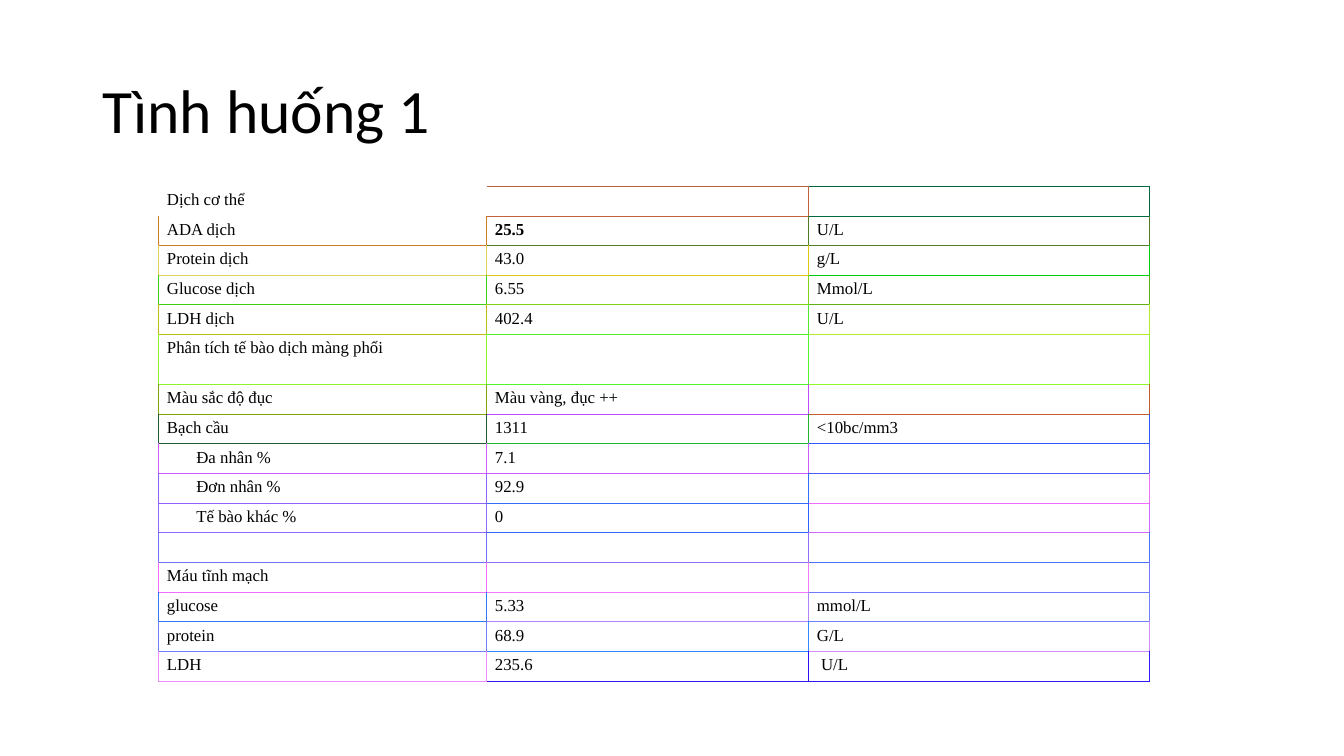
import pptx
import pptx.util
import pptx.dml.color
import pptx.enum.text
import pptx.oxml
import pptx.oxml.ns
from dataclasses import dataclass

Pt = pptx.util.Pt
qn = pptx.oxml.ns.qn


@dataclass(frozen=True)
class Theme:
    ink: str = "000000"
    head_font: str = "Calibri"
    body_font: str = "Times New Roman"
    head_size: float = 44
    body_size: float = 12
    rule: float = 0.75


class Page:
    """Holds the theme and the current slide."""

    def __init__(self, deck, theme):
        self.theme = theme
        self.slide = deck.slides.add_slide(deck.slide_layouts[6])

    def text(self, para, words, font, size, bold=False):
        run = para.add_run()
        run.text = words
        run.font.name = font
        run.font.size = Pt(size)
        run.font.bold = bold
        run.font.color.rgb = pptx.dml.color.RGBColor.from_string(self.theme.ink)

    def title(self, words, left, top, width, height):
        box = self.slide.shapes.add_textbox(Pt(left), Pt(top), Pt(width), Pt(height))
        frame = box.text_frame
        frame.word_wrap = True
        frame.vertical_anchor = pptx.enum.text.MSO_ANCHOR.MIDDLE
        para = frame.paragraphs[0]
        para.line_spacing = 0.9
        self.text(para, words, self.theme.head_font, self.theme.head_size)

    def border(self, cell, side, color):
        space = pptx.oxml.ns.nsdecls("a")
        cell._tc.get_or_add_tcPr().append(pptx.oxml.parse_xml(
            f'<a:ln{side} {space} w="{Pt(self.theme.rule)}"><a:solidFill>'
            f'<a:srgbClr val="{color}"/></a:solidFill></a:ln{side}>'))

    def cell(self, cell, words, indent, bold):
        cell.margin_left = Pt(6.2 + indent)
        cell.margin_right = Pt(6.2)
        cell.margin_top = cell.margin_bottom = Pt(3.1)
        para = cell.text_frame.paragraphs[0]
        if words:
            self.text(para, words, self.theme.body_font, self.theme.body_size, bold)
        else:
            # An empty cell keeps the body size, so its row stays low
            end = para._p.makeelement(qn("a:endParaRPr"), {"sz": str(self.theme.body_size * 100)})
            para._p.append(end)

    def table(self, rows, tints, left, top, widths, heights, indents, bolds):
        frame = self.slide.shapes.add_table(
            len(rows), len(widths), Pt(left), Pt(top), Pt(sum(widths)), Pt(sum(heights)))
        grid = frame.table
        grid.first_row = grid.horz_banding = False
        for col, width in zip(grid.columns, widths):
            col.width = Pt(width)
        for row, height in zip(grid.rows, heights):
            row.height = Pt(height)
        for r, row in enumerate(rows):
            for c, words in enumerate(row):
                cell = grid.cell(r, c)
                self.cell(cell, words, indents.get((r, c), 0), (r, c) in bolds)
                # Each tint rules right and below; neighbours supply left and top
                tint = tints[r][c]
                self.border(cell, "L", tints[r][max(c - 1, 0)])
                self.border(cell, "R", tint)
                self.border(cell, "T", tints[max(r - 1, 0)][c])
                self.border(cell, "B", tint)
                cell.fill.background()


ROWS = [
    ("Dịch cơ thể", "", ""),
    ("ADA dịch", "25.5", "U/L"),
    ("Protein dịch", "43.0", "g/L"),
    ("Glucose dịch", "6.55", "Mmol/L"),
    ("LDH dịch", "402.4", "U/L"),
    ("Phân tích tế bào dịch màng phổi", "", ""),
    ("Màu sắc độ đục", "Màu vàng, đục ++", ""),
    ("Bạch cầu", "1311", "<10bc/mm3"),
    ("Đa nhân %", "7.1", ""),
    ("Đơn nhân %", "92.9", ""),
    ("Tế bào khác %", "0", ""),
    ("", "", ""),
    ("Máu tĩnh mạch", "", ""),
    ("glucose", "5.33", "mmol/L"),
    ("protein", "68.9", "G/L"),
    ("LDH", "235.6", "U/L"),
]

TINTS = [
    ("FFFFFF", "C0643D", "00693D"),
    ("D07C25", "507D25", "507D25"),
    ("E0D158", "E0CA11", "00CE11"),
    ("40CE11", "80D411", "60B011"),
    ("C0BE11", "50EC29", "B0EC29"),
    ("90F229", "50F829", "90F929"),
    ("80A60D", "C04AFF", "C05E2F"),
    ("205A2F", "20B82E", "3058FD"),
    ("D05CFD", "D059FD", "505AFD"),
    ("9061FD", "306CFD", "F06CFD"),
    ("9066FD", "3066FD", "D068FD"),
    ("7072FD", "906DFD", "5073FD"),
    ("F06EFD", "F07BFD", "7078FD"),
    ("3079FD", "B084FD", "7081FD"),
    ("707DFD", "3089FD", "D08BFD"),
    ("F08AFD", "3012FD", "3016FD"),
]


def main():
    deck = pptx.Presentation()
    deck.slide_width, deck.slide_height = Pt(960), Pt(540)
    page = Page(deck, Theme())

    # Heading
    page.title("Tình huống 1", 66, 28.75, 828, 104.4)

    # Lab results: only the cell analysis heading has a taller row
    heights = [21.18] * len(ROWS)
    heights[5] = 35.8
    indents = {(8, 0): 21, (9, 0): 21, (10, 0): 21, (15, 2): 3}
    page.table(ROWS, TINTS, 113.1, 133.1, [234.3, 230, 243.5], heights, indents, {(1, 1)})

    deck.save("out.pptx")


if __name__ == "__main__":
    main()
